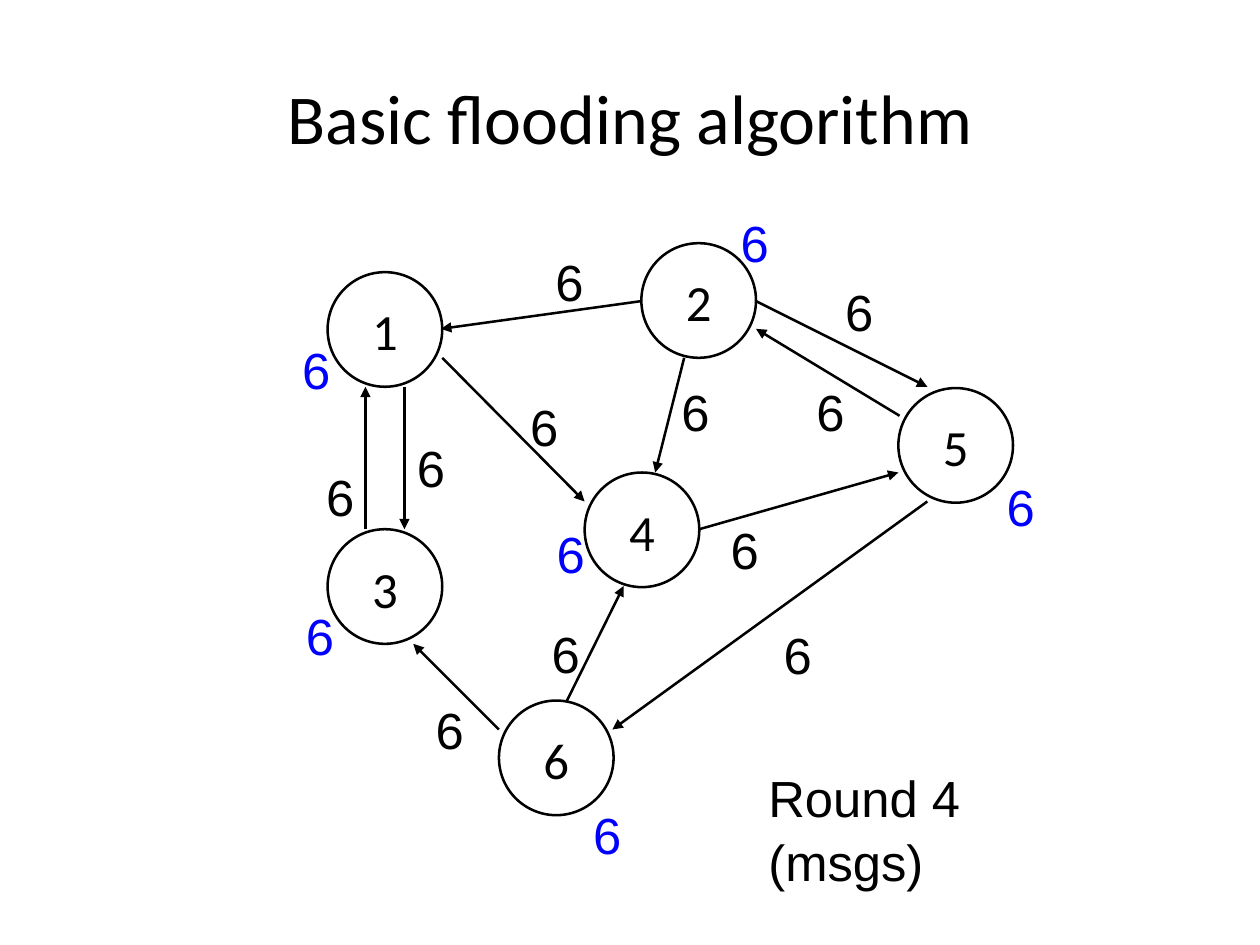
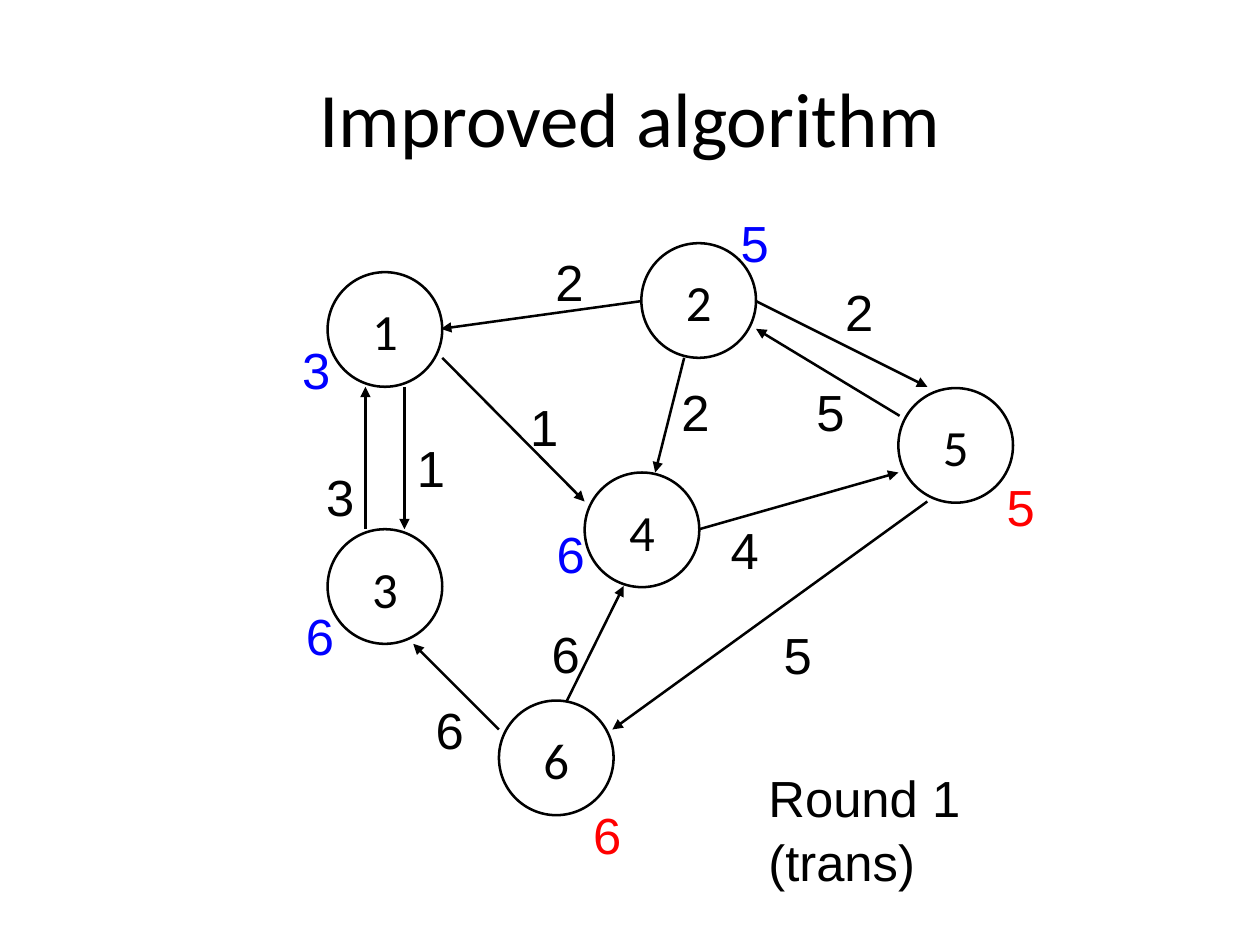
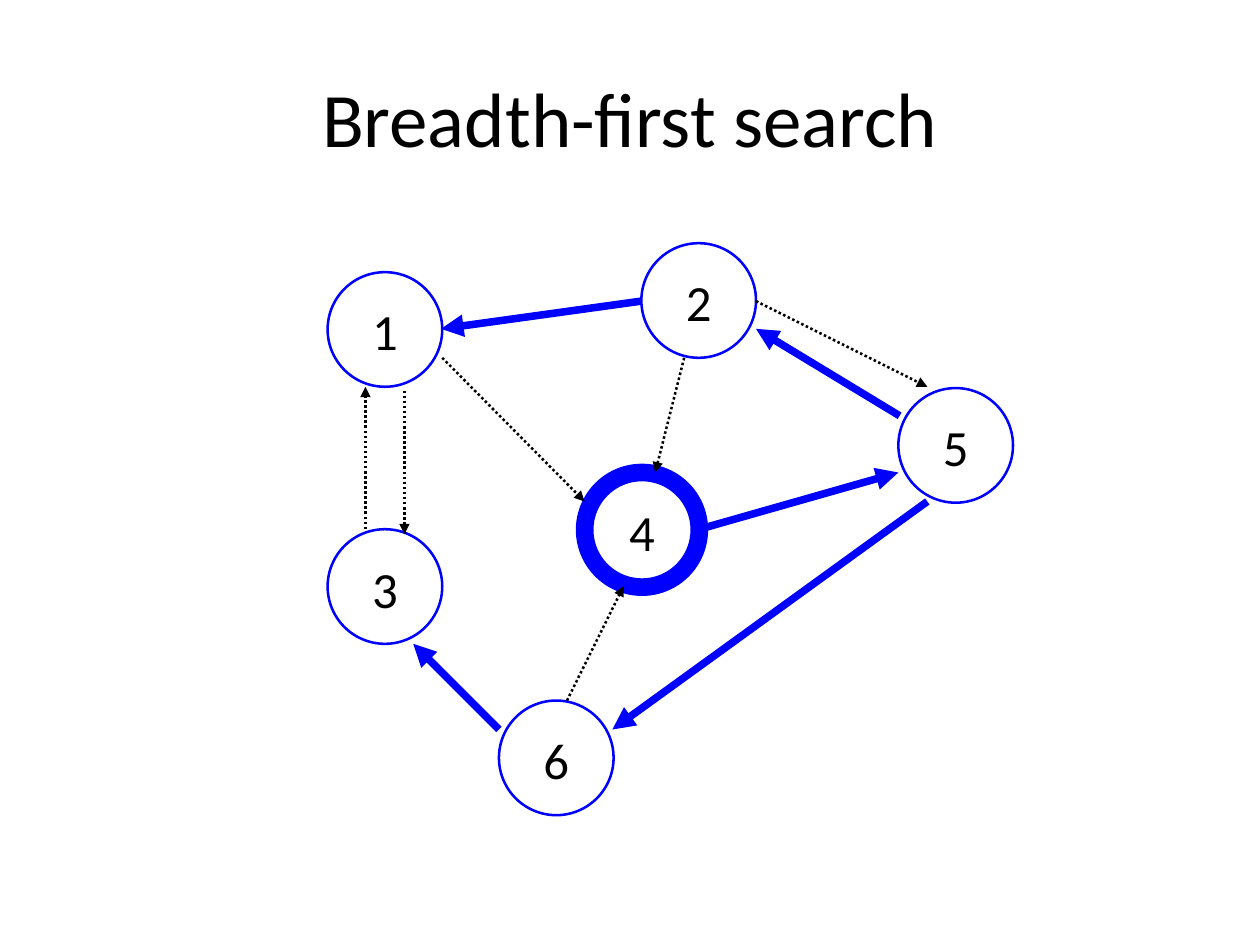
from pptx import Presentation
from pptx.dml.color import RGBColor
from pptx.enum.dml import MSO_LINE
from pptx.enum.shapes import MSO_CONNECTOR, MSO_SHAPE
from pptx.enum.text import MSO_ANCHOR, PP_ALIGN
from pptx.oxml.ns import qn
from pptx.util import Inches, Pt
from lxml.etree import SubElement

COLORS = {"ink": "000000", "blue": "0000FF", "red": "FF0000"}
THIN, TREE, ROOT = 1.45, 4.31, 10.09
DIAMETER = 0.91

NODES = {1: (2.6, 2.16), 5: (7.13, 3.08), 4: (4.64, 3.75),
         3: (2.6, 4.2), 2: (5.09, 1.93), 6: (3.96, 5.56)}
LINKS = {
    (4, 5): (5.55, 4.2, 7.13, 3.75),
    (2, 1): (5.09, 2.39, 3.5, 2.61),
    (5, 2): (7.14, 3.3, 6, 2.61),
    (2, 5): (6, 2.39, 7.36, 3.07),
    (3, 1): (2.9, 4.2, 2.9, 3.07),
    (1, 4): (3.51, 2.84, 4.64, 3.98),
    (2, 4): (5.43, 2.84, 5.2, 3.75),
    (1, 3): (3.21, 3.07, 3.21, 4.2),
    (5, 6): (7.36, 3.98, 4.86, 5.79),
    (6, 3): (3.96, 5.79, 3.28, 5.11),
    (6, 4): (4.5, 5.56, 4.95, 4.65),
}
KNOWN_AT = {1: (2.3, 2.62), 2: (5.78, 1.61), 5: (7.89, 3.71),
            3: (2.33, 4.73), 6: (4.61, 6.31), 4: (4.32, 4.08)}
MESSAGE_AT = {
    (2, 1): (4.31, 1.92), (1, 3): (3.21, 3.4), (3, 1): (2.49, 3.63),
    (5, 6): (6.12, 4.88), (6, 3): (3.36, 5.48), (6, 4): (4.28, 4.87),
    (4, 5): (5.7, 4.05), (2, 4): (5.31, 2.95), (1, 4): (4.11, 3.07),
    (2, 5): (6.61, 2.16), (5, 2): (6.38, 2.95),
}
TREE_LINKS = {(4, 5), (2, 1), (5, 2), (5, 6), (6, 3)}


class GraphDeck:
    """Draws directed graphs in one style, slide by slide."""

    def __init__(self):
        self.prs = Presentation()
        self.prs.slide_width, self.prs.slide_height = Inches(10), Inches(7.5)
        self.slide = None

    def set_text(self, frame, text, size, font, color="ink", spacing=None, align=None):
        paragraph = frame.paragraphs[0]
        paragraph.text = str(text)
        paragraph.alignment = align
        paragraph.line_spacing = spacing
        paragraph.font.size = Pt(size)
        paragraph.font.name = font
        paragraph.font.color.rgb = RGBColor.from_string(COLORS[color])

    def stroke(self, line, color, weight):
        line.color.rgb = RGBColor.from_string(COLORS[color])
        line.width = Pt(weight)

    def inset(self, frame, side, top):
        frame.margin_left = frame.margin_right = Inches(side)
        frame.margin_top = frame.margin_bottom = Inches(top)

    def start(self, title, size=44):
        self.slide = self.prs.slides.add_slide(self.prs.slide_layouts[6])
        frame = self.slide.shapes.add_textbox(
            Inches(0.5), Inches(0.3), Inches(9), Inches(1.25)).text_frame
        frame.word_wrap = True
        frame.vertical_anchor = MSO_ANCHOR.MIDDLE
        self.inset(frame, 0, 0)
        self.set_text(frame, title, size, "Calibri", align=PP_ALIGN.CENTER)

    def node(self, number, color="ink", weight=THIN):
        left, top = NODES[number]
        circle = self.slide.shapes.add_shape(
            MSO_SHAPE.OVAL, Inches(left), Inches(top), Inches(DIAMETER), Inches(DIAMETER))
        circle.shadow.inherit = False
        circle.fill.background()
        self.stroke(circle.line, color, weight)
        circle.text_frame.vertical_anchor = MSO_ANCHOR.MIDDLE
        self.inset(circle.text_frame, *((0.15, 0.11) if weight == ROOT else (0.1, 0.05)))
        self.set_text(circle.text_frame, number, 29, "Calibri",
                      spacing=1.04, align=PP_ALIGN.CENTER)

    def arrow(self, ends, color="ink", weight=THIN, dotted=False):
        link = self.slide.shapes.add_connector(
            MSO_CONNECTOR.STRAIGHT, *(Inches(value) for value in ends))
        self.stroke(link.line, color, weight)
        if dotted:
            link.line.dash_style = MSO_LINE.ROUND_DOT
        properties = link._element.spPr
        SubElement(properties.find(qn("a:ln")), qn("a:tailEnd"), type="triangle")
        SubElement(properties, qn("a:effectLst"))

    def label(self, text, at, color="ink", width=0.42):
        left, top = at
        frame = self.slide.shapes.add_textbox(
            Inches(left), Inches(top), Inches(width), Inches(0.61)).text_frame
        frame.word_wrap = False
        self.set_text(frame, text, 29, "Arial", color, spacing=1.04)

    def flooding_round(self, caption, width, messages, unchanged=()):
        for number in NODES:
            self.node(number)
        for ends in LINKS.values():
            self.arrow(ends)
        for number, at in KNOWN_AT.items():
            received = [messages[source] for source, target in LINKS if target == number]
            known = max(messages[number], *received)
            self.label(known, at, "red" if number in unchanged else "blue")
        for (source, _), at in MESSAGE_AT.items():
            self.label(messages[source], at)
        self.label(caption, (6, 6.02), width=width)

    def search_tree(self, root):
        for number in NODES:
            self.node(number, "blue", ROOT if number == root else THIN)
        lowered = {(1, 3): (3.21, 3.1, 3.21, 4.24)}
        for link, ends in (LINKS | lowered).items():
            if link in TREE_LINKS:
                self.arrow(ends, "blue", TREE)
            else:
                self.arrow(ends, dotted=True)


def main():
    deck = GraphDeck()
    deck.start("Basic flooding algorithm", size=40)
    deck.flooding_round("Round 4 (msgs)", 3.06, {number: 6 for number in NODES})
    deck.start("Improved algorithm")
    deck.flooding_round("Round 1 (trans)", 2.99, {number: number for number in NODES},
                        unchanged=(5, 6))
    deck.start("Breadth-first search")
    deck.search_tree(root=4)
    deck.prs.save("out.pptx")


if __name__ == "__main__":
    main()
